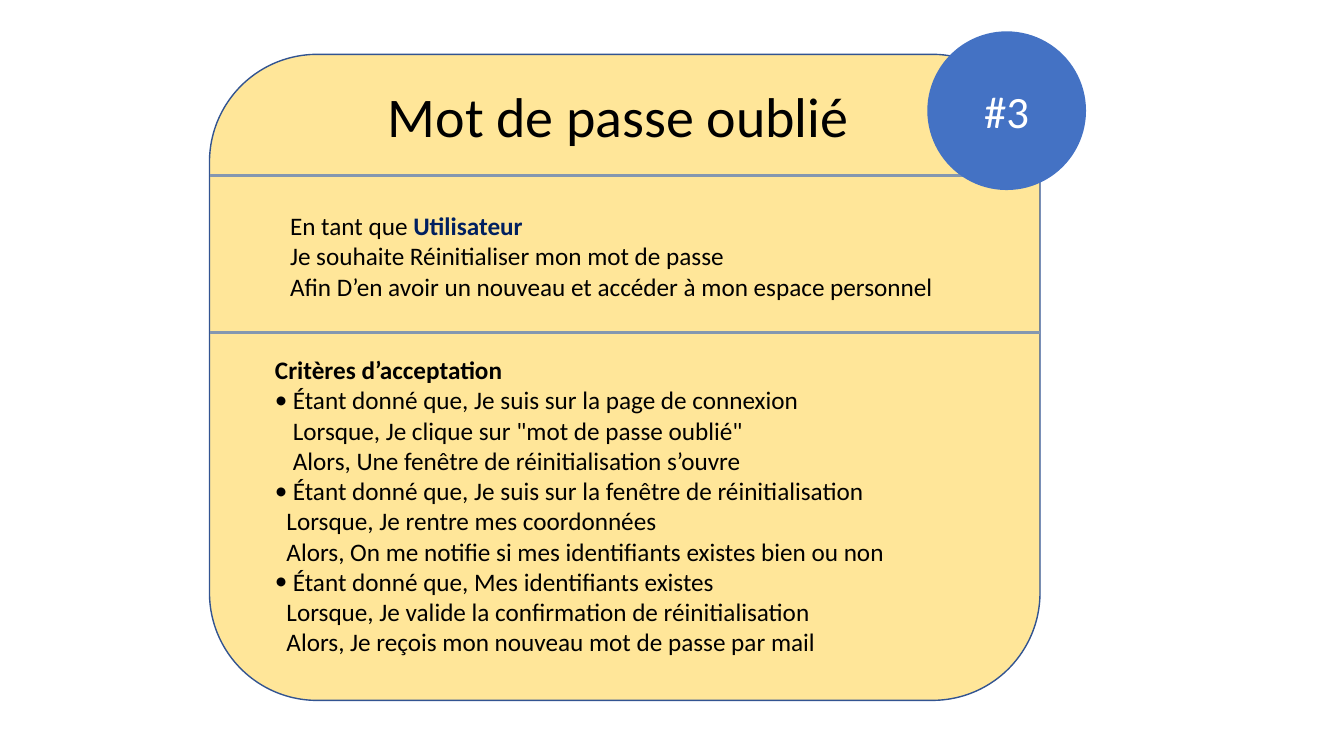
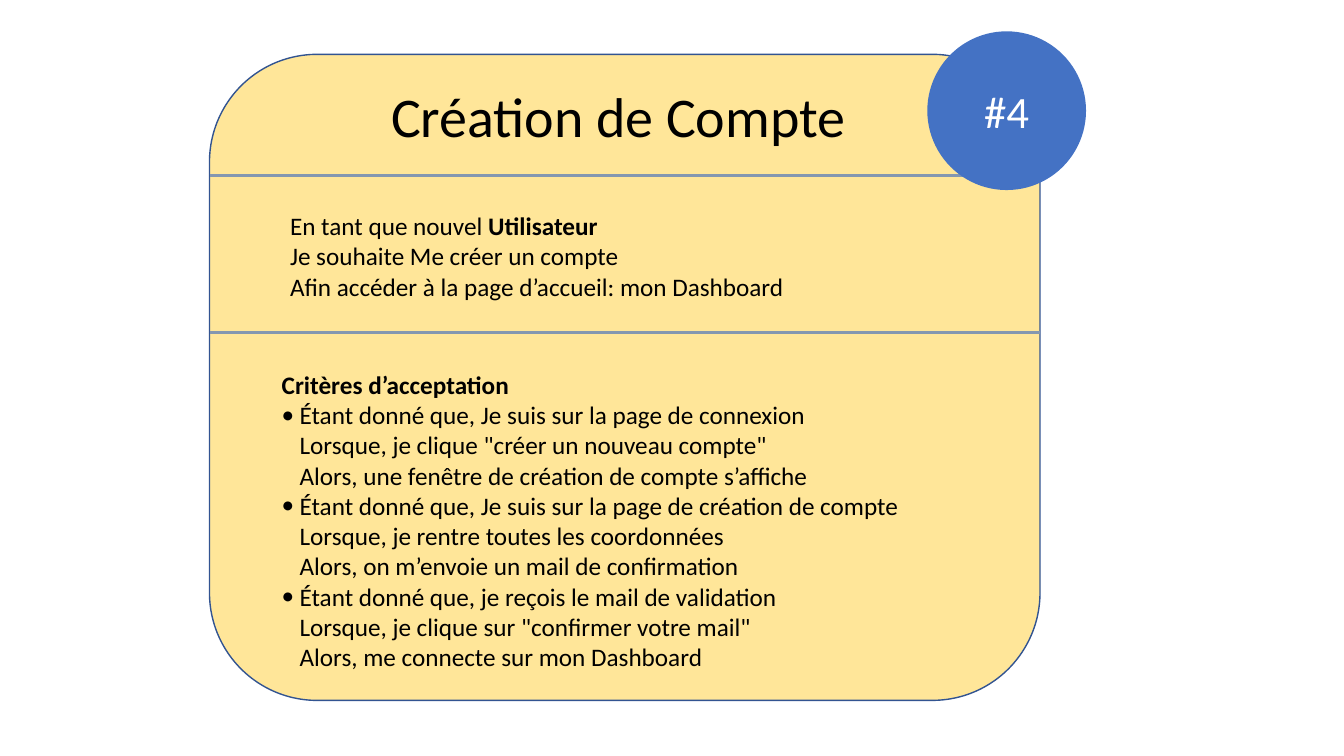
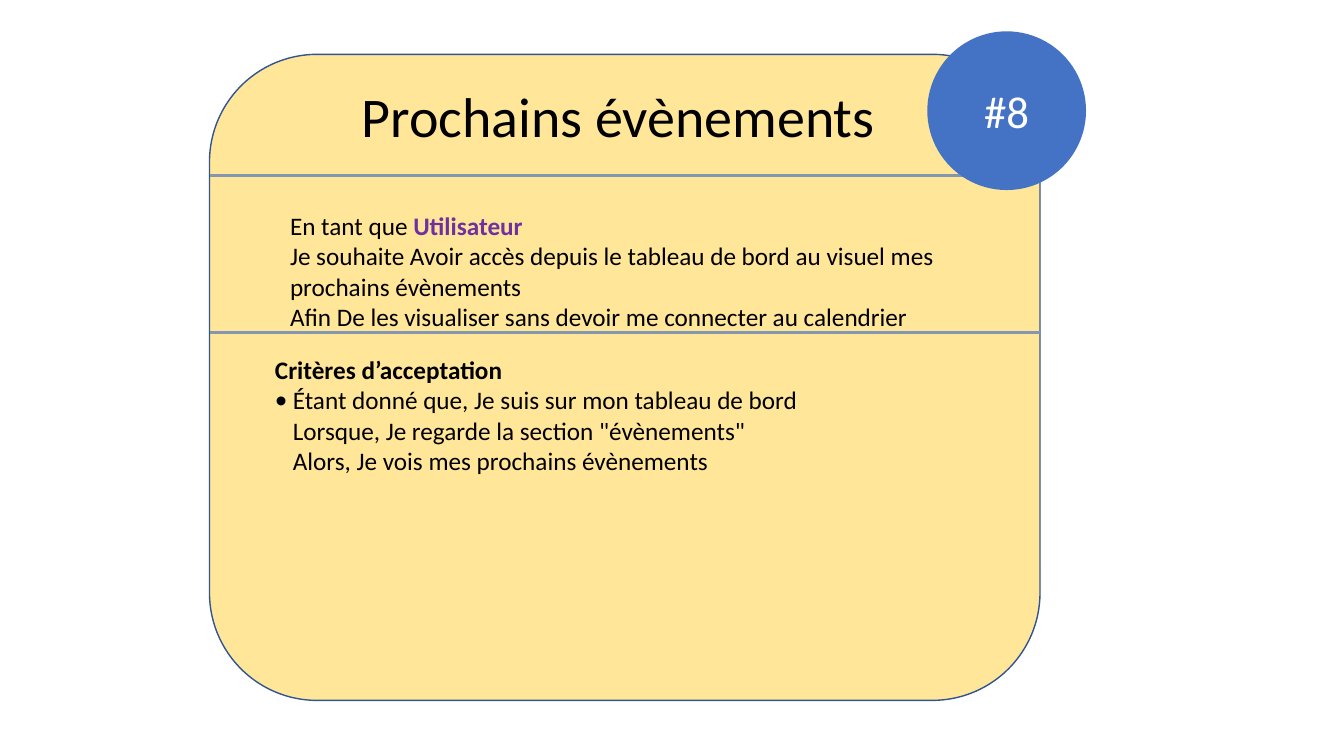
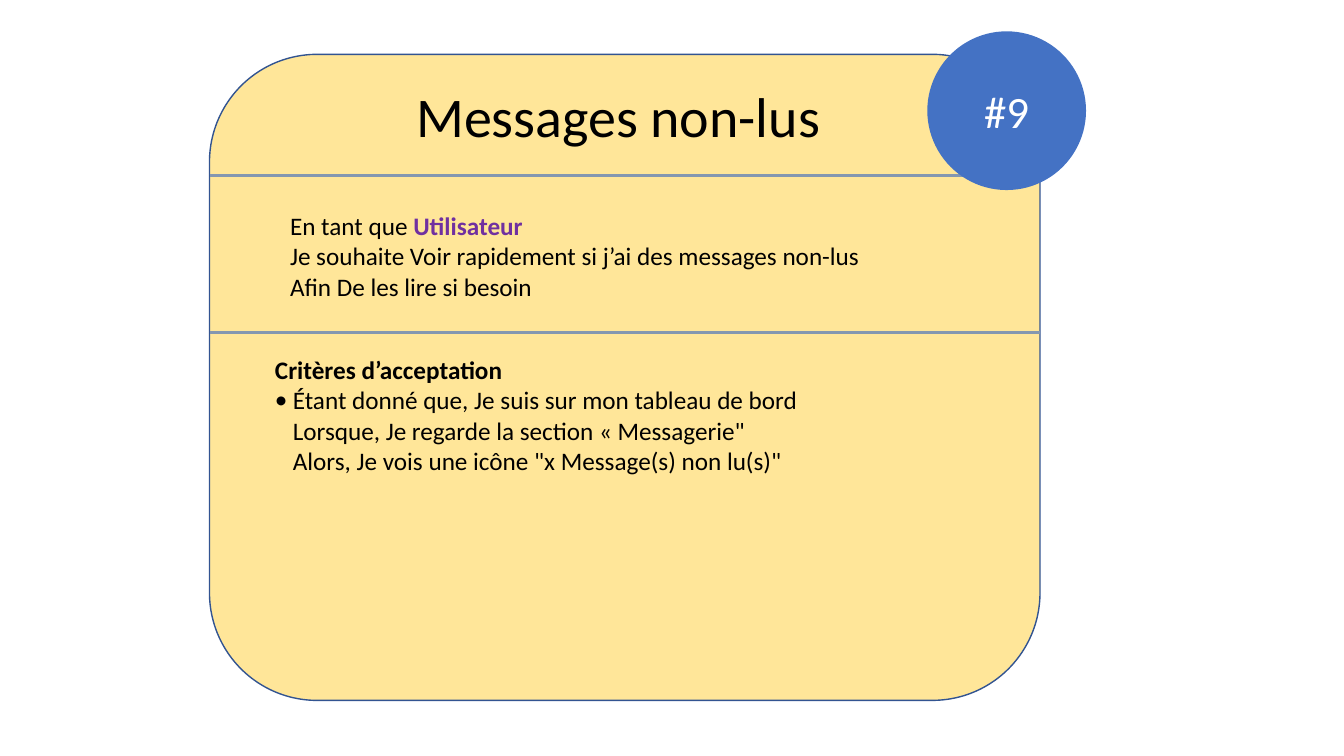
from lxml import etree
from pptx import Presentation
from pptx.dml.color import RGBColor
from pptx.enum.shapes import MSO_CONNECTOR, MSO_SHAPE
from pptx.enum.text import MSO_ANCHOR, MSO_AUTO_SIZE, PP_ALIGN
from pptx.oxml.ns import qn
from pptx.util import Cm, Pt

ROUNDED, CIRCLE = MSO_SHAPE.ROUNDED_RECTANGLE, MSO_SHAPE.OVAL
STRAIGHT = MSO_CONNECTOR.STRAIGHT
CENTER, MIDDLE = PP_ALIGN.CENTER, MSO_ANCHOR.MIDDLE
GROW = MSO_AUTO_SIZE.SHAPE_TO_FIT_TEXT

BLACK = RGBColor(0x00, 0x00, 0x00)
WHITE = RGBColor(0xFF, 0xFF, 0xFF)
CARD_YELLOW = RGBColor(0xFF, 0xE6, 0x99)
CARD_EDGE = RGBColor(0x32, 0x54, 0x91)
RULE_GREY = RGBColor(0x84, 0x97, 0xB0)
BADGE_BLUE = RGBColor(0x44, 0x72, 0xC4)
NAVY = RGBColor(0x00, 0x20, 0x60)
PURPLE = RGBColor(0x70, 0x30, 0xA0)

FONT = "Calibri"
CARD_LEFT, CARD_WIDTH = 5.28, 20.93
LINE_HEIGHT, BOX_PADDING = 0.77, 0.25
BULLET_INDENT, NARROW_INDENT = 0.45, 0.29

STORIES = [
    {
        "number": "#3", "title": "Mot de passe oublié",
        "who": "En tant que ", "role_color": NAVY,
        "wish": "Je souhaite Réinitialiser mon mot de passe",
        "goal": "Afin D’en avoir un nouveau et accéder à mon espace personnel",
        "story_lines": 3, "criteria_at": (6.68, 8.81),
        "criteria": [
            ("Je suis sur la page de connexion",
             "Je clique sur \"mot de passe oublié\"",
             "Une fenêtre de réinitialisation s’ouvre", BULLET_INDENT),
            ("Je suis sur la fenêtre de réinitialisation",
             "Je rentre mes coordonnées",
             "On me notifie si mes identifiants existes bien ou non", NARROW_INDENT),
            ("Mes identifiants existes",
             "Je valide la confirmation de réinitialisation",
             "Je reçois mon nouveau mot de passe par mail", NARROW_INDENT),
        ],
    },
    {
        "number": "#4", "title": "Création de Compte",
        "who": "En tant que nouvel ", "role_color": BLACK,
        "wish": "Je souhaite Me créer un compte",
        "goal": "Afin accéder à la page d’accueil: mon Dashboard",
        "story_lines": 3, "criteria_at": (6.85, 9.18),
        "criteria": [
            ("Je suis sur la page de connexion",
             "je clique \"créer un nouveau compte\"",
             "une fenêtre de création de compte s’affiche", BULLET_INDENT),
            ("Je suis sur la page de création de compte",
             "je rentre toutes les coordonnées",
             "on m’envoie un mail de confirmation", BULLET_INDENT),
            ("je reçois le mail de validation",
             "je clique sur \"confirmer votre mail\"",
             "me connecte sur mon Dashboard", BULLET_INDENT),
        ],
    },
    {
        "number": "#8", "title": "Prochains évènements",
        "who": "En tant que ", "role_color": PURPLE,
        "wish": "Je souhaite Avoir accès depuis le tableau de bord au visuel mes prochains évènements",
        "goal": "Afin De les visualiser sans devoir me connecter au calendrier",
        "story_lines": 4, "criteria_at": (6.68, 8.81),
        "criteria": [
            ("Je suis sur mon tableau de bord",
             "Je regarde la section \"évènements\"",
             "Je vois mes prochains évènements", BULLET_INDENT),
        ],
    },
    {
        "number": "#9", "title": "Messages non-lus",
        "who": "En tant que ", "role_color": PURPLE,
        "wish": "Je souhaite Voir rapidement si j’ai des messages non-lus",
        "goal": "Afin De les lire si besoin",
        "story_lines": 3, "criteria_at": (6.68, 8.81),
        "criteria": [
            ("Je suis sur mon tableau de bord",
             "Je regarde la section « Messagerie\"",
             "Je vois une icône \"x Message(s) non lu(s)\"", BULLET_INDENT),
        ],
    },
]


def add_text(slide, left, top, width, height, paragraphs, size=18, align=None):
    """Add a text box; each paragraph is (runs, indent in cm, bulleted), each run (text, colour, bold)."""
    box = slide.shapes.add_textbox(Cm(left), Cm(top), Cm(width), Cm(height))
    frame = box.text_frame
    frame.word_wrap = True
    frame.auto_size = GROW
    for index, (runs, indent, bulleted) in enumerate(paragraphs):
        paragraph = frame.paragraphs[0] if index == 0 else frame.add_paragraph()
        paragraph.alignment = align
        if indent:
            properties = paragraph._p.get_or_add_pPr()
            properties.set("marL", str(Cm(indent)))
            if bulleted:
                properties.set("indent", str(-Cm(indent)))
                etree.SubElement(properties, qn("a:buFont")).set("typeface", FONT)
                etree.SubElement(properties, qn("a:buChar")).set("char", "•")
        for text, color, bold in runs:
            style_run(paragraph, text, size, color, bold)


def style_run(paragraph, text, size, color, bold=False):
    run = paragraph.add_run()
    run.text = text
    run.font.name = FONT
    run.font.size = Pt(size)
    run.font.bold = bold
    run.font.color.rgb = color


deck = Presentation()
deck.slide_width, deck.slide_height = Cm(33.87), Cm(19.05)

for story in STORIES:
    slide = deck.slides.add_slide(deck.slide_layouts[6])

    card = slide.shapes.add_shape(ROUNDED, Cm(CARD_LEFT), Cm(1.37), Cm(CARD_WIDTH), Cm(16.28))
    card.shadow.inherit = False
    card.fill.solid()
    card.fill.fore_color.rgb = CARD_YELLOW
    card.line.color.rgb = CARD_EDGE
    card.line.width = Pt(1)

    add_text(slide, 7.06, 1.93, 17.04, 1.95,
             [([(story["title"], BLACK, False)], 0, False)], size=40, align=CENTER)

    for rule_y in (4.43, 8.38):
        rule = slide.shapes.add_connector(
            STRAIGHT, Cm(CARD_LEFT), Cm(rule_y), Cm(CARD_LEFT + CARD_WIDTH), Cm(rule_y))
        rule.line.color.rgb = RULE_GREY
        rule.line.width = Pt(2.25)
        etree.SubElement(rule._element.spPr, qn("a:effectLst"))

    add_text(slide, 7.06, 5.18, 17.45, story["story_lines"] * LINE_HEIGHT + BOX_PADDING, [
        ([(story["who"], BLACK, False), ("Utilisateur", story["role_color"], True)], 0, False),
        ([(story["wish"], BLACK, False)], 0, False),
        ([(story["goal"], BLACK, False)], 0, False),
    ])

    criteria = [([("Critères d’acceptation", BLACK, True)], 0, False)]
    for given, when, then, indent in story["criteria"]:
        criteria += [
            ([("Étant donné que, " + given, BLACK, False)], BULLET_INDENT, True),
            ([("Lorsque, " + when, BLACK, False)], indent, False),
            ([("Alors, " + then, BLACK, False)], indent, False),
        ]
    add_text(slide, *story["criteria_at"], 17.81,
             len(criteria) * LINE_HEIGHT + BOX_PADDING, criteria)

    badge = slide.shapes.add_shape(CIRCLE, Cm(23.37), Cm(0.79), Cm(4), Cm(4))
    badge.shadow.inherit = False
    badge.fill.solid()
    badge.fill.fore_color.rgb = BADGE_BLUE
    badge.line.fill.background()
    badge.text_frame.vertical_anchor = MIDDLE
    number = badge.text_frame.paragraphs[0]
    number.alignment = CENTER
    style_run(number, story["number"], 32, WHITE)

deck.save("out.pptx")
